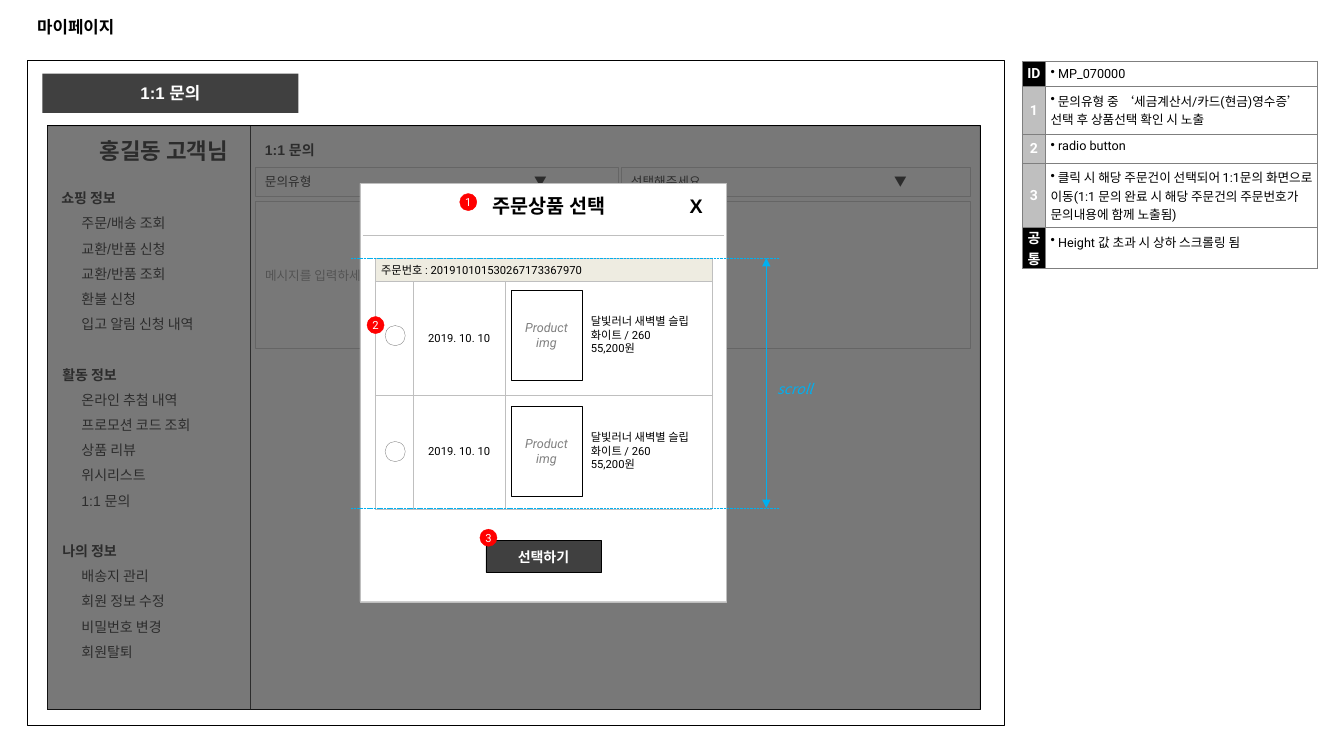
from lxml.etree import SubElement
from pptx import Presentation
from pptx.dml.color import RGBColor
from pptx.enum.dml import MSO_LINE
from pptx.enum.shapes import MSO_CONNECTOR, MSO_SHAPE
from pptx.enum.text import MSO_ANCHOR, PP_ALIGN
from pptx.oxml import parse_xml
from pptx.oxml.ns import nsdecls, qn
from pptx.util import Inches, Pt

BLACK = RGBColor(0x00, 0x00, 0x00)
WHITE = RGBColor(0xFF, 0xFF, 0xFF)
DARK = RGBColor(0x40, 0x40, 0x40)
GRAY = RGBColor(0x80, 0x80, 0x80)
LEGEND_LINE = RGBColor(0x7F, 0x7F, 0x7F)
LIGHT = RGBColor(0xBF, 0xBF, 0xBF)
BEIGE = RGBColor(0xEE, 0xEC, 0xE1)
RED = RGBColor(0xFF, 0x00, 0x00)
BLUE = RGBColor(0x00, 0xB0, 0xF0)

ARIAL, ROBOTO, NOTO = "Arial", "Roboto", "Noto Sans CJK KR"
LEFT, CENTER = PP_ALIGN.LEFT, PP_ALIGN.CENTER
TOP, MIDDLE = MSO_ANCHOR.TOP, MSO_ANCHOR.MIDDLE

LEGEND = [
    ("ID", "MP_070000", BLACK, 0.25),
    ("1", "문의유형 중 ‘세금계산서/카드(현금)영수증’ 선택 후 상품선택 확인 시 노출", LIGHT, 0.47),
    ("2", "radio button", LIGHT, 0.29),
    ("3", "클릭 시 해당 주문건이 선택되어 1:1문의 화면으로 이동(1:1 문의 완료 시 "
          "해당 주문건의 주문번호가 문의내용에 함께 노출됨)", LIGHT, 0.64),
    ("공통", "Height 값 초과 시 상하 스크롤링 됨", BLACK, 0.4),
]
MENU = {
    "쇼핑 정보": ["주문/배송 조회", "교환/반품 신청", "교환/반품 조회", "환불 신청",
              "입고 알림 신청 내역"],
    "활동 정보": ["온라인 추첨 내역", "프로모션 코드 조회", "상품 리뷰", "위시리스트", "1:1 문의"],
    "나의 정보": ["배송지 관리", "회원 정보 수정", "비밀번호 변경", "회원탈퇴"],
}
PRODUCT = ["달빛러너 새벽별 슬립", "화이트 / 260", "55,200원"]


def add_span(para, text, size, font=ARIAL, color=BLACK, bold=False, italic=False):
    span = para.add_run()
    span.text = text
    span.font.size, span.font.name = Pt(size), font
    span.font.bold, span.font.italic = bold, italic
    span.font.color.rgb = color
    SubElement(span.font._element, qn("a:ea"), typeface=NOTO)


def write(frame, lines, size, align=LEFT, line_spacing=None, **style):
    for index, line in enumerate(lines):
        para = frame.add_paragraph() if index else frame.paragraphs[0]
        para.alignment = align
        if line_spacing:
            para.line_spacing = Pt(line_spacing)
        add_span(para, line, size, **style)


def set_insets(owner, inset):
    owner.margin_left = owner.margin_right = Inches(inset)
    owner.margin_top = owner.margin_bottom = Inches(inset)


def add_text(page, at, lines, size, anchor=TOP, inset=None, wrap=True, **style):
    frame = page.shapes.add_textbox(*map(Inches, at)).text_frame
    frame.word_wrap, frame.vertical_anchor = wrap, anchor
    if inset is not None:
        set_insets(frame, inset)
    write(frame, lines, size, **style)
    return frame


def add_box(page, at, fill=None, line=None, width=0.25, kind=MSO_SHAPE.RECTANGLE,
            lines=(), size=9, inset=None, **style):
    box = page.shapes.add_shape(kind, *map(Inches, at))
    box.shadow.inherit = False
    if fill is None:
        box.fill.background()
    else:
        box.fill.solid()
        box.fill.fore_color.rgb = fill
    if line is None:
        box.line.fill.background()
    else:
        box.line.color.rgb, box.line.width = line, Pt(width)
    frame = box.text_frame
    frame.word_wrap, frame.vertical_anchor = True, MIDDLE
    if inset is not None:
        set_insets(frame, inset)
    write(frame, lines, size, **style)
    return box


def add_line(page, start, end, color, width=0.25, dashed=False, arrows=False):
    line = page.shapes.add_connector(MSO_CONNECTOR.STRAIGHT, *map(Inches, start + end))
    line.line.color.rgb, line.line.width = color, Pt(width)
    if dashed:
        line.line.dash_style = MSO_LINE.SQUARE_DOT
    if arrows:
        for tag in ("a:headEnd", "a:tailEnd"):
            SubElement(line.line._ln, qn(tag), type="triangle")
    SubElement(line._element.spPr, qn("a:effectLst"))


def add_dropdown(page, at, label, arrow_at):
    box = add_box(page, at, WHITE, LIGHT)
    para = box.text_frame.paragraphs[0]
    para.alignment = LEFT
    tabs = SubElement(para._p.get_or_add_pPr(), qn("a:tabLst"))
    SubElement(tabs, qn("a:tab"), pos=str(Inches(arrow_at)), algn="l")
    add_span(para, label + "\t▼", 9, NOTO)


def add_grid(page, at, columns, rows, border, width):
    frame = page.shapes.add_table(len(rows), len(columns), *map(Inches, at))
    table = frame.table
    table.first_row = table.horz_banding = False
    for column, size in zip(table.columns, columns):
        column.width = Inches(size)
    for row, size in zip(table.rows, rows):
        row.height = Inches(size)
    for cell in table.iter_cells():
        set_insets(cell, 0)
        cell.vertical_anchor = MIDDLE
        cell.fill.background()
        for index, side in enumerate(("lnL", "lnR", "lnT", "lnB")):
            cell._tc.get_or_add_tcPr().insert(index, parse_xml(
                f'<a:{side} {nsdecls("a")} w="{Pt(width)}"><a:solidFill>'
                f'<a:srgbClr val="{border}"/></a:solidFill></a:{side}>'))
    return table


def fill_cell(cell, color):
    cell.fill.solid()
    cell.fill.fore_color.rgb = color


def add_legend(page):
    table = add_grid(page, (10.14, 0.61, 2.93, 2.05), (0.23, 2.7),
                     [row[3] for row in LEGEND], LEGEND_LINE, 1)
    for index, (mark, note, color, _) in enumerate(LEGEND):
        label, cell = table.cell(index, 0), table.cell(index, 1)
        fill_cell(label, color)
        write(label.text_frame, [mark], 10, CENTER, font=ROBOTO, color=WHITE, bold=True)
        set_insets(cell, 0.05)
        cell.vertical_anchor = TOP
        para = cell.text_frame.paragraphs[0]
        SubElement(para._p.get_or_add_pPr(), qn("a:buChar"), char="•")
        add_span(para, " " + note, 9, ROBOTO)


def add_menu(page):
    frame = add_text(page, (0.51, 1.75, 1.97, 4.73), [], 10)
    for group, (heading, items) in enumerate(MENU.items()):
        for index, label in enumerate([heading] + items):
            first = group == index == 0
            para = frame.paragraphs[0] if first else frame.add_paragraph()
            para.line_spacing = Pt(18)
            if index:
                para._p.get_or_add_pPr().set("marL", str(Inches(0.2)))
            elif group:
                para.space_before = Pt(18)
                para._p.get_or_add_pPr().set("marL", str(Inches(0.01)))
            add_span(para, label, 10, bold=index == 0)


def add_orders(page):
    table = add_grid(page, (3.72, 2.56, 3.34, 2.49), (0.38, 0.91, 2.05),
                     (0.23, 1.13, 1.13), LIGHT, 0.25)
    for cell in table.iter_cells():
        fill_cell(cell, WHITE)
        SubElement(cell.text_frame.paragraphs[0]._p, qn("a:endParaRPr"), sz="800")
    number = table.cell(0, 0)
    number.merge(table.cell(0, 2))
    fill_cell(number, BEIGE)
    number.margin_left = Inches(0.06)
    write(number.text_frame, ["주문번호 : 201910101530267173367970"], 8, font=ROBOTO)
    for row, top in ((1, 2.88), (2, 4.03)):
        write(table.cell(row, 1).text_frame, ["2019. 10. 10"], 8, CENTER, font=ROBOTO)
        add_box(page, (5.07, top, 0.7, 0.89), None, BLACK, lines=["Product", "img"],
                inset=0.04, align=CENTER, font=ROBOTO, color=GRAY, italic=True)
        add_text(page, (5.82, top + 0.2, 1.19, 0.48), PRODUCT, 8, MIDDLE, 0.04, font=ROBOTO)
        add_box(page, (3.82, top + 0.35, 0.2, 0.2), None, GRAY, kind=MSO_SHAPE.OVAL)


def main():
    deck = Presentation()
    deck.slide_width, deck.slide_height = Inches(13.33), Inches(7.5)
    page = deck.slides.add_slide(deck.slide_layouts[6])

    # Frame, title and legend
    add_box(page, (0.27, 0.6, 9.69, 6.6), None, BLACK, 0.75)
    add_text(page, (0.27, 0.07, 12.79, 0.39), ["마이페이지"], 12, MIDDLE, bold=True)
    add_box(page, (0.47, 1.24, 2.02, 5.8), WHITE, BLACK)
    add_box(page, (0.42, 0.73, 2.54, 0.39), DARK, lines=["1:1 문의"], size=12,
            align=CENTER, color=WHITE, bold=True)
    add_legend(page)

    # Page behind the dialog
    add_menu(page)
    add_text(page, (0.89, 1.33, 1.72, 0.33), ["홍길동 고객님"], 16, line_spacing=18, bold=True)
    add_box(page, (2.48, 1.24, 7.24, 5.8), WHITE, BLACK)
    add_text(page, (2.53, 1.28, 1.97, 0.33), ["1:1 문의"], 10, MIDDLE,
             line_spacing=18, bold=True)
    add_dropdown(page, (2.53, 1.66, 3.6, 0.29), "문의유형", 2.67)
    add_dropdown(page, (6.16, 1.66, 3.46, 0.29), "선택해주세요", 2.61)
    add_box(page, (2.53, 2, 7.09, 1.46), WHITE, LIGHT, lines=["메시지를 입력하세요"],
            font=NOTO, color=GRAY)

    # Translucent cover
    cover = add_box(page, (0.47, 1.25, 9.25, 5.79), DARK, BLACK)
    for color, opacity in zip(cover._element.spPr.iter(qn("a:srgbClr")), (70, 52)):
        SubElement(color, qn("a:alpha"), val=str(opacity * 1000))

    # Order dialog
    add_box(page, (3.57, 1.82, 3.63, 4.15), WHITE, LIGHT)
    add_text(page, (4.5, 1.87, 1.89, 0.34), ["주문상품 선택"], 14, align=CENTER, bold=True)
    add_line(page, (3.6, 2.33), (7.18, 2.33), LIGHT)
    add_text(page, (6.64, 1.87, 0.53, 0.34), ["X"], 14, align=CENTER, bold=True)
    add_orders(page)
    add_box(page, (4.82, 5.36, 1.14, 0.32), DARK, BLACK, lines=["선택하기"], size=10,
            align=CENTER, font=NOTO, color=WHITE, bold=True)

    # Numbered markers
    for number, (left, top) in enumerate([(4.56, 1.92), (3.64, 3.14), (4.76, 5.25)], 1):
        add_box(page, (left, top, 0.17, 0.17), RED, RED, kind=MSO_SHAPE.OVAL,
                lines=[str(number)], size=8, inset=0, align=CENTER, font=ROBOTO, color=WHITE)

    # Scroll range
    for top in (2.56, 5.04):
        add_line(page, (3.48, top), (7.73, top), BLUE, dashed=True)
    add_line(page, (7.6, 2.56), (7.6, 5.04), BLUE, 0.75, arrows=True)
    add_text(page, (7.61, 3.73, 0.55, 0.27), ["scroll"], 10, wrap=False,
             font=NOTO, color=BLUE, italic=True)

    deck.save("out.pptx")


if __name__ == "__main__":
    main()
